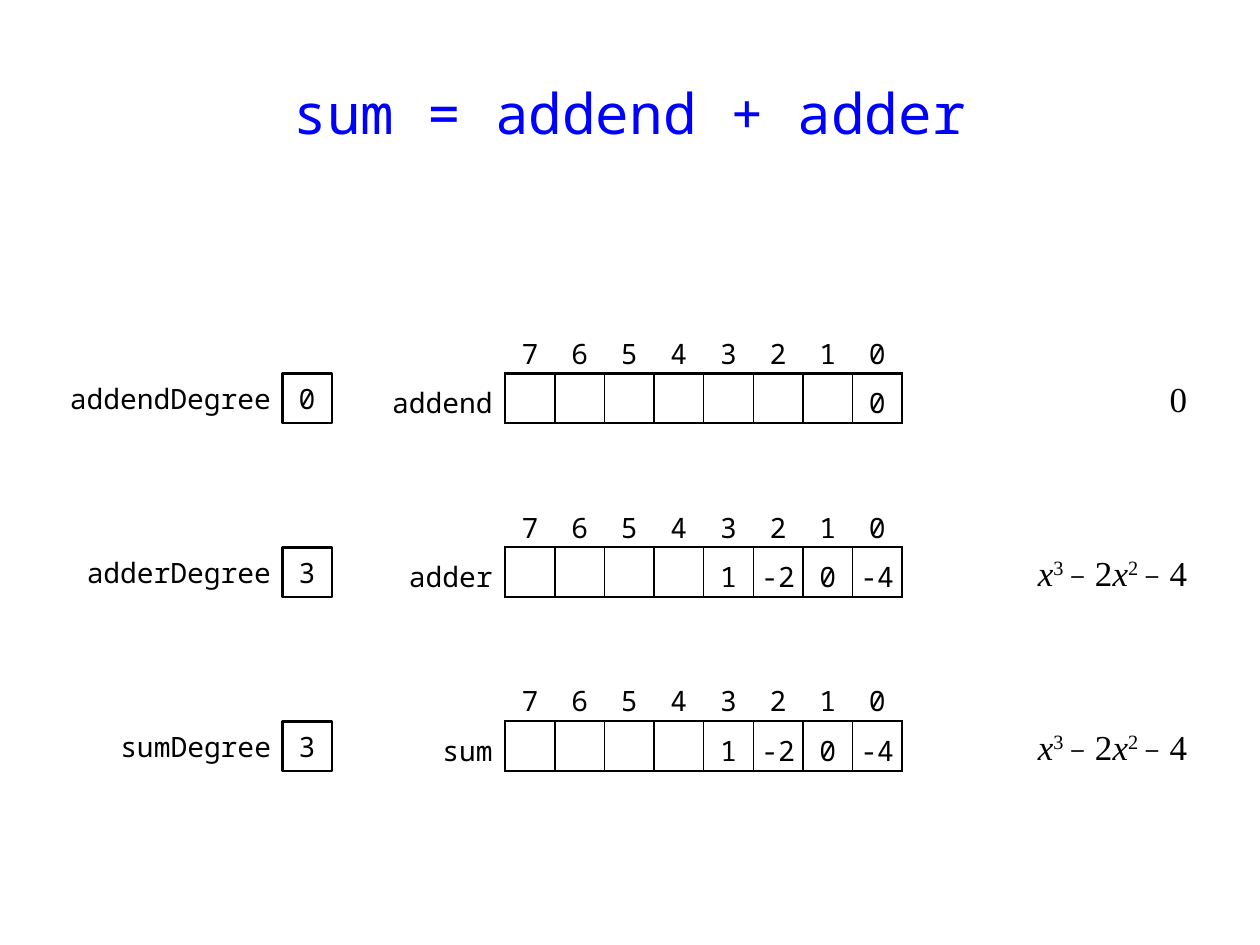
from lxml import etree
from pptx import Presentation
from pptx.dml.color import RGBColor
from pptx.enum import shapes, text
from pptx.oxml.ns import qn
from pptx.util import Inches, Pt

MONO, SERIF, MATH = "Noto Sans Mono", "Times New Roman", "Cambria"
LEFT, CENTER, RIGHT = text.PP_ALIGN.LEFT, text.PP_ALIGN.CENTER, text.PP_ALIGN.RIGHT
NO_STYLE = "{2D5ABB26-0587-4C30-8999-92F81FD0307C}"
CELL = 0.394
PITCH = 1.38


def add_run(p, words, font=MONO, size=16, color="000000", italic=False, align=LEFT, raised=False):
    p.alignment = align
    r = p.add_run()
    r.text = words
    r.font.name = font
    r.font.size = Pt(size)
    r.font.italic = italic
    r.font.color.rgb = RGBColor.from_string(color)
    if raised:
        r.font._element.set("baseline", "30000")


def set_borders(cell, **widths):
    """Draw black lines; sides are given in schema order L, R, T, B."""
    tc_pr = cell._tc.get_or_add_tcPr()
    for side, width in widths.items():
        ln = etree.SubElement(tc_pr, qn(f"a:ln{side}"), w=str(Pt(width)))
        fill = etree.SubElement(ln, qn("a:solidFill"))
        etree.SubElement(fill, qn("a:srgbClr"), val="000000")


prs = Presentation()
prs.slide_width, prs.slide_height = Inches(10), Inches(7.5)
slide = prs.slides.add_slide(prs.slide_layouts[5])

title = slide.shapes.title
title.left, title.top = Inches(0.47), Inches(0.4)
title.width, title.height = Inches(9.06), Inches(0.98)
title.text_frame.vertical_anchor = text.MSO_ANCHOR.MIDDLE
add_run(title.text_frame.paragraphs[0], "sum = addend + adder", size=32, color="0000FF", align=CENTER)

var, num = dict(italic=True), {}
power, minus = dict(raised=True), dict(font=MATH, size=18)
cubic = [("x", var), ("3 ", power), ("−", minus), (" 2", num),
         ("x", var), ("2 ", power), ("−", minus), (" 4", num)]
polynomials = [
    ("addend", "0", ["0"], [("0", num)]),
    ("adder", "3", ["1", "-2", "0", "-4"], cubic),
    ("sum", "3", ["1", "-2", "0", "-4"], cubic),
]

for i, (name, degree, coefficients, formula) in enumerate(polynomials):
    top = 2.57 + i * PITCH
    array_top = top + CELL

    # Coefficient array with its exponents above
    frame = slide.shapes.add_table(2, 9, Inches(3.03), Inches(top), Inches(4.13), Inches(2 * CELL))
    table = frame.table
    table.first_row = table.horz_banding = False
    table._tbl.tblPr.find(qn("a:tableStyleId")).text = NO_STYLE
    for row in table.rows:
        row.height = Inches(CELL)
    for col, column in enumerate(table.columns):
        column.width = Inches(CELL if col else 0.98)
    values = [name] + [""] * (8 - len(coefficients)) + coefficients
    for r, words_in_row in enumerate([["", *"76543210"], values]):
        for c, words in enumerate(words_in_row):
            cell = table.cell(r, c)
            cell.vertical_anchor = text.MSO_ANCHOR.MIDDLE
            cell.margin_left = cell.margin_right = cell.margin_top = cell.margin_bottom = 0
            if c == 0:
                cell.margin_left, cell.margin_right = Inches(0.04), Inches(0.1)
            if r == 1 and c == 0:
                set_borders(cell, R=1.5)
            elif r == 1:
                set_borders(cell, L=1.5 if c == 1 else 1, R=1.5 if c == 8 else 1, T=1.5, B=1.5)
            cell.fill.background()
            p = cell.text_frame.paragraphs[0]
            if words:
                p.line_spacing = 1.25
                add_run(p, words, align=CENTER if c else RIGHT)

    # Degree variable
    box = slide.shapes.add_shape(shapes.MSO_SHAPE.RECTANGLE, Inches(2.24), Inches(array_top),
                                 Inches(CELL), Inches(CELL))
    box.shadow.inherit = False
    box.fill.solid()
    box.fill.fore_color.rgb = RGBColor.from_string("FFFFFF")
    box.line.color.rgb = RGBColor.from_string("000000")
    box.line.width = Pt(1.5)
    box.text_frame.margin_left = box.text_frame.margin_right = 0
    add_run(box.text_frame.paragraphs[0], degree, align=CENTER)

    # Right-aligned label and formula
    label_runs = [(name + "Degree", {})]
    formula_runs = [(words, dict(font=SERIF, size=20) | style) for words, style in formula]
    for left, width, runs in [(0.28, 1.97, label_runs), (7.95, 1.57, formula_runs)]:
        tb = slide.shapes.add_textbox(Inches(left), Inches(array_top), Inches(width), Inches(CELL))
        tf = tb.text_frame
        tf.word_wrap = True
        tf.vertical_anchor = text.MSO_ANCHOR.MIDDLE
        tf.margin_top = tf.margin_bottom = 0
        for words, style in runs:
            add_run(tf.paragraphs[0], words, align=RIGHT, **style)

prs.save("out.pptx")
